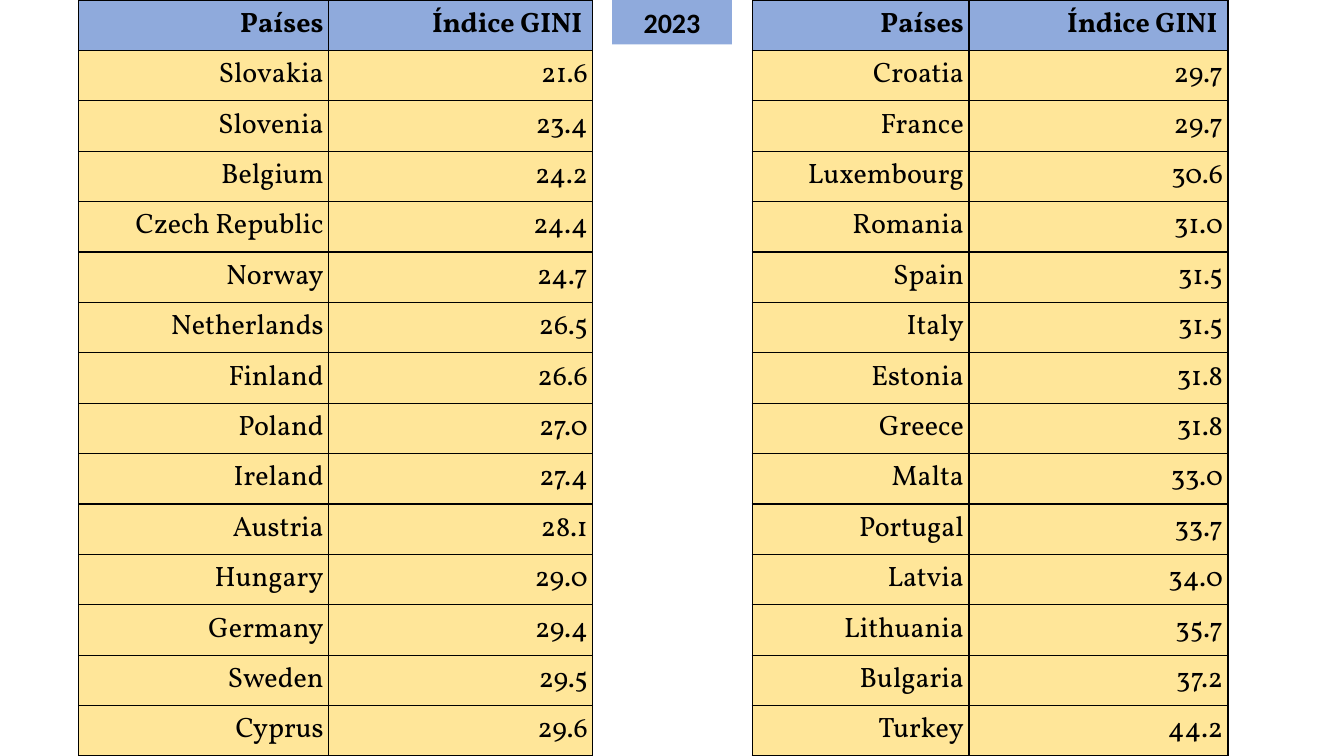
"""Build a slide with two tables of GINI indices by country for 2023."""
from lxml import etree
from pptx import Presentation
from pptx.dml.color import RGBColor
from pptx.enum.shapes import MSO_SHAPE
from pptx.enum.text import MSO_ANCHOR, PP_ALIGN
from pptx.oxml.ns import qn
from pptx.util import Inches, Pt

RECTANGLE = MSO_SHAPE.RECTANGLE
RIGHT, CENTER = PP_ALIGN.RIGHT, PP_ALIGN.CENTER
BOTTOM, MIDDLE = MSO_ANCHOR.BOTTOM, MSO_ANCHOR.MIDDLE
BLUE, YELLOW, BLACK = "8FAADC", "FFE699", "000000"
HEADER = ("Países", "Índice GINI ")
ROW_COUNT = 15

LOWER_HALF = [
    ("Slovakia", "21.6"), ("Slovenia", "23.4"), ("Belgium", "24.2"),
    ("Czech Republic", "24.4"), ("Norway", "24.7"), ("Netherlands", "26.5"),
    ("Finland", "26.6"), ("Poland", "27.0"), ("Ireland", "27.4"),
    ("Austria", "28.1"), ("Hungary", "29.0"), ("Germany", "29.4"),
    ("Sweden", "29.5"), ("Cyprus", "29.6"),
]
UPPER_HALF = [
    ("Croatia", "29.7"), ("France", "29.7"), ("Luxembourg", "30.6"),
    ("Romania", "31.0"), ("Spain", "31.5"), ("Italy", "31.5"),
    ("Estonia", "31.8"), ("Greece", "31.8"), ("Malta", "33.0"),
    ("Portugal", "33.7"), ("Latvia", "34.0"), ("Lithuania", "35.7"),
    ("Bulgaria", "37.2"), ("Turkey", "44.2"),
]
TABLES = [
    (0.78, (2.48, 2.62), LOWER_HALF),
    (7.46, (2.15, 2.57), UPPER_HALF),
]


def paint(target, color):
    """Fill a shape or cell with a solid colour."""
    target.fill.solid()
    target.fill.fore_color.rgb = RGBColor.from_string(color)


def style_text(text_frame, font_name, alignment, bold):
    """Align the first paragraph and format its run."""
    paragraph = text_frame.paragraphs[0]
    paragraph.alignment = alignment
    font = paragraph.runs[0].font
    font.name, font.size, font.bold = font_name, Pt(20), bold
    font.color.rgb = RGBColor.from_string(BLACK)


presentation = Presentation()
presentation.slide_width = Inches(13.33)
presentation.slide_height = Inches(7.5)
slide = presentation.slides.add_slide(presentation.slide_layouts[6])
row_height = presentation.slide_height // ROW_COUNT

for left, widths, countries in TABLES:
    table = slide.shapes.add_table(
        ROW_COUNT, len(widths), Inches(left), 0,
        Inches(sum(widths)), presentation.slide_height).table
    for column, width in zip(table.columns, widths):
        column.width = Inches(width)
    for row_index, values in enumerate([HEADER] + countries):
        is_header = row_index == 0
        table.rows[row_index].height = row_height
        for column_index, value in enumerate(values):
            cell = table.cell(row_index, column_index)
            cell.text_frame.text = value
            style_text(cell.text_frame, "Vollkorn", RIGHT, is_header)
            cell.vertical_anchor = BOTTOM if is_header else MIDDLE
            cell.margin_left = cell.margin_right = Inches(0.05)
            cell.margin_top = cell.margin_bottom = Inches(0.05)
            properties = cell._tc.get_or_add_tcPr()
            for side in ("a:lnL", "a:lnR", "a:lnT", "a:lnB"):
                border = etree.SubElement(properties, qn(side), w=str(Pt(1)))
                border_fill = etree.SubElement(border, qn("a:solidFill"))
                etree.SubElement(border_fill, qn("a:srgbClr"), val=BLACK)
            paint(cell, BLUE if is_header else YELLOW)

year_label = slide.shapes.add_shape(
    RECTANGLE, Inches(6.07), 0, Inches(1.19), Inches(0.44))
year_label.shadow.inherit = False
paint(year_label, BLUE)
year_label.line.fill.background()
year_label.text_frame.text = "2023"
style_text(year_label.text_frame, "Calibri", CENTER, True)

presentation.save("out.pptx")
